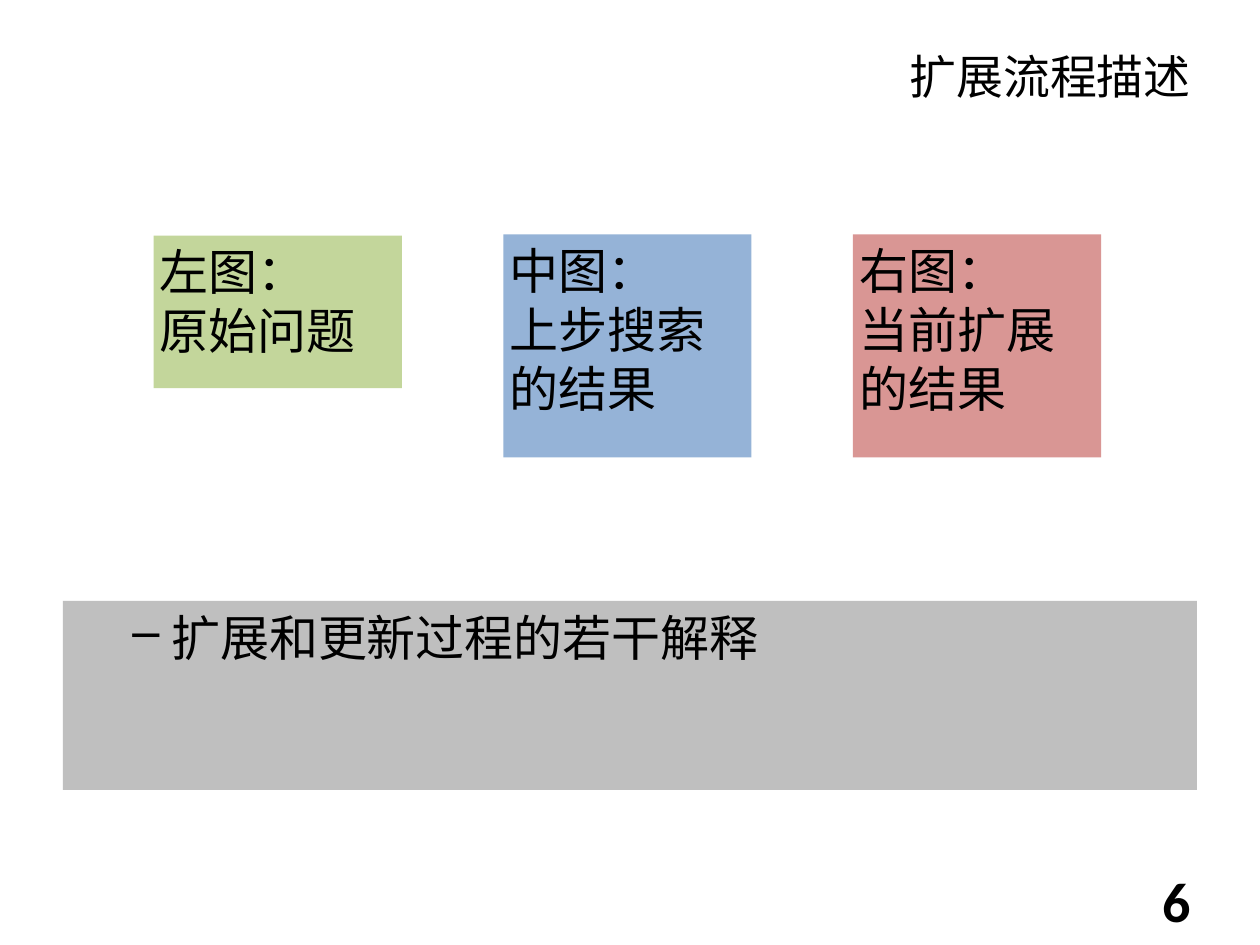
from lxml import etree
from pptx import Presentation
from pptx import util as u
from pptx.dml.color import RGBColor
from pptx.enum import shapes, text
from pptx.oxml import ns

COLORS = {"ink": "000000", "gray": "BFBFBF", "green": "C3D69B",
          "blue": "95B3D7", "red": "D99694"}
CJK = "Noto Sans CJK SC"

deck = Presentation()
deck.slide_width, deck.slide_height = u.Inches(10), u.Inches(7.5)
page = deck.slides.add_slide(deck.slide_layouts[6])
COL, ROW = deck.slide_width / 100, deck.slide_height / 75


def add_text(words, left, top, width, height, fill=None, size=28, font=CJK,
             bold=False, align="LEFT", anchor="TOP", wrap=True, before=0, bullet=None):
    """Place a text block on the 100 by 75 grid; \\n starts a paragraph, \\v a line."""
    place = [int(n) for n in (left * COL, top * ROW, width * COL, height * ROW)]
    if fill:
        box = page.shapes.add_shape(shapes.MSO_SHAPE.RECTANGLE, *place)
        box.shadow.inherit = False
        box.fill.solid()
        box.fill.fore_color.rgb = RGBColor.from_string(COLORS[fill])
        box.line.fill.background()
    else:
        box = page.shapes.add_textbox(*place)
    frame = box.text_frame
    frame.text = words
    frame.word_wrap = wrap
    frame.vertical_anchor = getattr(text.MSO_ANCHOR, anchor)
    frame.margin_left = frame.margin_right = u.Inches(0.05)
    frame.margin_top = frame.margin_bottom = u.Inches(0.05)
    for para in frame.paragraphs:
        para.alignment = getattr(text.PP_ALIGN, align)
        para.space_before = u.Pt(before)
        if bullet:
            props = para._p.get_or_add_pPr()
            props.set("marL", str(u.Inches(0.81)))
            props.set("indent", str(u.Inches(-0.31)))
            etree.SubElement(props, ns.qn("a:buChar")).set("char", bullet)
        for span in para.runs:
            span.font.size, span.font.bold, span.font.name = u.Pt(size), bold, font
            span.font.color.rgb = RGBColor.from_string(COLORS["ink"])
            east_asian = etree.SubElement(span.font._element, ns.qn("a:ea"))
            east_asian.set("typeface", font)


add_text("6", 91.3, 68.4, 3.7, 6.1, size=32, font="Calibri", bold=True,
         align="RIGHT", anchor="MIDDLE", wrap=False, before=7)
add_text("扩展流程描述", 5, 3, 90, 6.1, size=26.8, align="RIGHT", anchor="MIDDLE")
add_text("扩展和更新过程的若干解释", 5, 47.7, 90, 15, fill="gray", bullet="–")

panels = [("左图：\v原始问题", "green", 18.7, 12.1),
          ("中图：\n上步搜索的结果", "blue", 18.6, 17.7),
          ("右图：\n当前扩展的结果", "red", 18.6, 17.7)]
for index, (words, fill, top, height) in enumerate(panels):
    add_text(words, 12.2 + 27.75 * index, top, 19.7, height, fill=fill)

deck.save("out.pptx")
